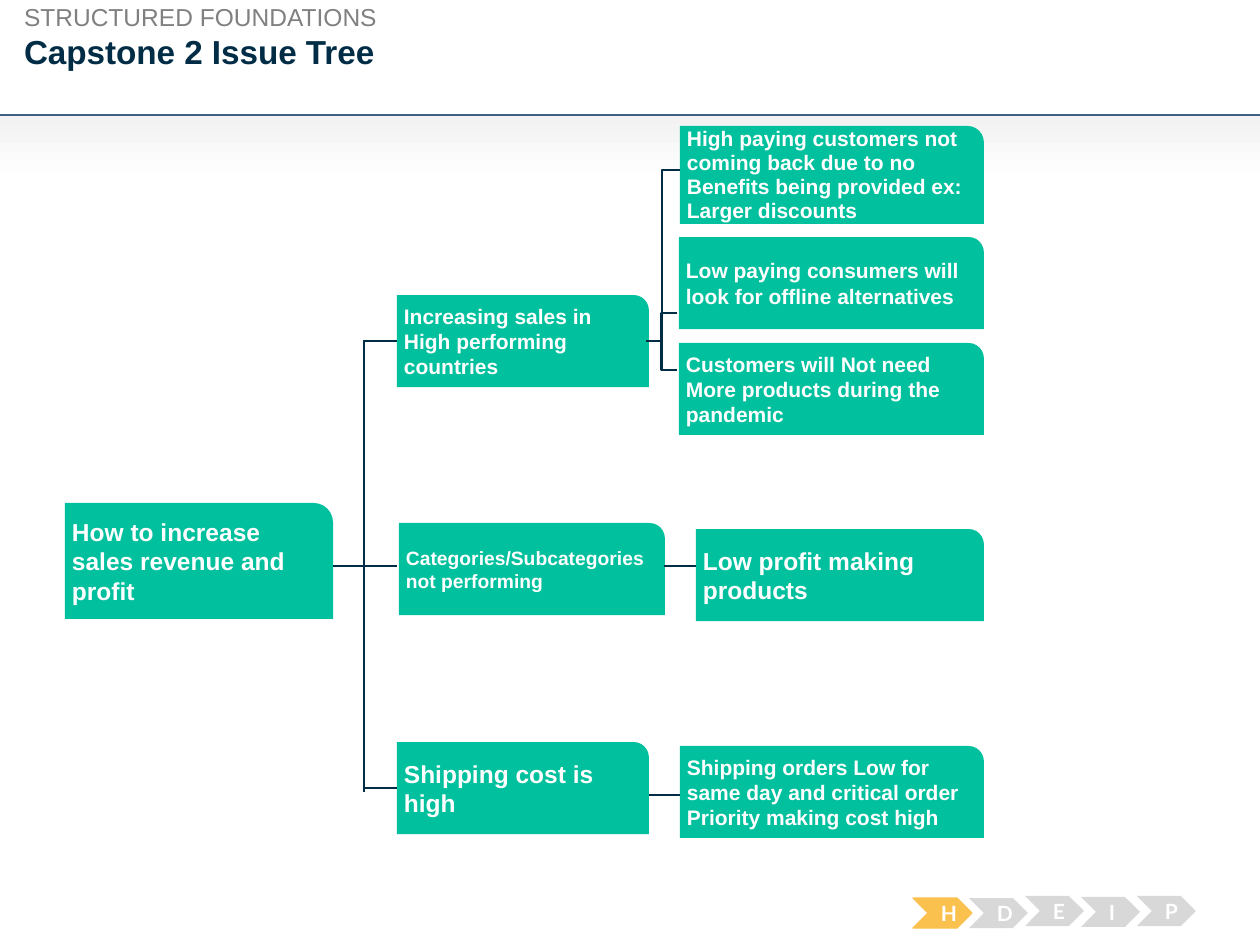
from lxml.etree import SubElement
from pptx import Presentation
from pptx.dml.color import RGBColor
from pptx.enum.shapes import MSO_CONNECTOR as Link, MSO_SHAPE as Shape
from pptx.enum.text import MSO_ANCHOR as Anchor, PP_ALIGN as Align
from pptx.oxml.ns import qn
from pptx.util import Pt

PX = 914400 / 126
GREEN, NAVY, WHITE = "00C09D", "002C46", "FFFFFF"
rgb = RGBColor.from_string


def write(shape, lines, size, color, insets=(0, 0, 0, 0), font="Arial",
          bold=True, align=Align.LEFT, anchor=Anchor.MIDDLE, spacing=1.0):
    frame = shape.text_frame
    frame.word_wrap = True
    frame.vertical_anchor = anchor
    (frame.margin_left, frame.margin_top,
     frame.margin_right, frame.margin_bottom) = [round(v * PX) for v in insets]
    frame.text = "\n".join(lines)
    for paragraph in frame.paragraphs:
        paragraph.alignment = align
        paragraph.line_spacing = spacing
        paragraph.font.name = font
        paragraph.font.size = Pt(size)
        paragraph.font.bold = bold
        paragraph.font.color.rgb = rgb(color)


def connect(kind, ends, color=NAVY, width=1.5):
    line = slide.shapes.add_connector(kind, *[round(v * PX) for v in ends])
    line.line.color.rgb = rgb(color)
    line.line.width = Pt(width)
    SubElement(line._element.spPr, qn("a:effectLst"))
    return line


deck = Presentation()
deck.slide_width, deck.slide_height = round(1260 * PX), round(945 * PX)
slide = deck.slides.add_slide(deck.slide_layouts[6])

# Shaded band under the heading
band = slide.shapes.add_shape(Shape.RECTANGLE, 0, round(115 * PX), round(1260 * PX), round(65 * PX))
band.shadow.inherit = False
band.line.fill.background()
band.fill.gradient()
band.fill.gradient_angle = 270
for stop, position, color in zip(band.fill.gradient_stops, (0, 1), ("F2F2F2", WHITE)):
    stop.position = position
    stop.color.rgb = rgb(color)
connect(Link.STRAIGHT, (0, 115, 1260, 115), "406085", 0.75)

# Heading
for area, heading, size, color, bold in (
    ((24, 31, 1188, 42), "Capstone 2 Issue Tree", 19, NAVY, True),
    ((24, 2, 358, 30), "STRUCTURED FOUNDATIONS", 14, "808080", False),
):
    box = slide.shapes.add_textbox(*[round(v * PX) for v in area])
    write(box, [heading], size, color, bold=bold, anchor=Anchor.TOP)

# Issue boxes: area, text size, lines
issues = {
    "root": ((65, 503, 268, 116), 14, ["How to increase", "sales revenue and", "profit"]),
    "sales": ((397, 295, 252, 92), 12, ["Increasing sales in", "High performing", "countries"]),
    "categories": ((399, 523, 266, 92), 11, ["Categories/Subcategories", "not performing"]),
    "shipping": ((397, 742, 252, 92), 14, ["Shipping cost is", "high"]),
    "high payers": ((680, 126, 304, 98), 12, [
        "High paying customers not", "coming back due to no",
        "Benefits being provided ex:", "Larger discounts"]),
    "low payers": ((679, 237, 305, 92), 12, [
        "Low paying consumers will", "look for offline alternatives"]),
    "pandemic": ((679, 343, 305, 92), 12, [
        "Customers will Not need", "More products during the", "pandemic"]),
    "low profit": ((696, 529, 288, 92), 14, ["Low profit making", "products"]),
    "orders": ((680, 746, 304, 92), 12, [
        "Shipping orders Low for", "same day and critical order", "Priority making cost high"]),
}
boxes = {}
for issue, (area, size, lines) in issues.items():
    box = slide.shapes.add_shape(Shape.ROUND_1_RECTANGLE, *[round(v * PX) for v in area])
    box.shadow.inherit = False
    box.fill.solid()
    box.fill.fore_color.rgb = rgb(GREEN)
    box.line.fill.background()
    # Four lines need the full height of their box
    crowded = len(lines) > 3
    margin = 0 if crowded or issue == "root" else 6
    write(box, lines, size, WHITE, (7, margin, margin, margin),
          spacing=0.95 if crowded else 1.0)
    boxes[issue] = box

# Elbow branches: ends, and where the bend falls along the width
for ends, bend in (
    ((333, 566, 364, 340), 1),
    ((333, 566, 364, 792), 1),
    ((646, 341, 677, 313), 0.5),
    ((646, 341, 677, 370), 0.5),
    ((650, 341, 680, 170), 0.4),
):
    branch = connect(Link.ELBOW, ends)
    guides = branch._element.spPr.find(qn("a:prstGeom")).find(qn("a:avLst"))
    SubElement(guides, qn("a:gd"), name="adj1", fmla=f"val {round(bend * 100000)}")

# Straight branches
for ends, target in (
    ((364, 341, 397, 341), "sales"),
    ((364, 566, 397, 566), None),
    ((364, 788, 397, 788), "shipping"),
    ((664, 566, 696, 566), None),
    ((649, 795, 680, 795), None),
):
    branch = connect(Link.STRAIGHT, ends)
    if target:
        branch.end_connect(boxes[target], 1)

# Progress chevrons
for step, (letter, top) in enumerate(zip("HDEIP", (898, 898, 896, 897, 896))):
    color = "D8D8D8" if step else "FBC14E"
    area = (913 + 56 * step, top, 59, 30)
    chevron = slide.shapes.add_shape(Shape.CHEVRON, *[round(v * PX) for v in area])
    chevron.shadow.inherit = False
    chevron.fill.solid()
    chevron.fill.fore_color.rgb = rgb(color)
    if step:
        chevron.line.fill.background()
    else:
        chevron.line.color.rgb = rgb(color)
        chevron.line.width = Pt(0.75)
    write(chevron, [letter], 12, WHITE, (13, 6, 13, 6), "Lato", align=Align.CENTER)

deck.save("out.pptx")
